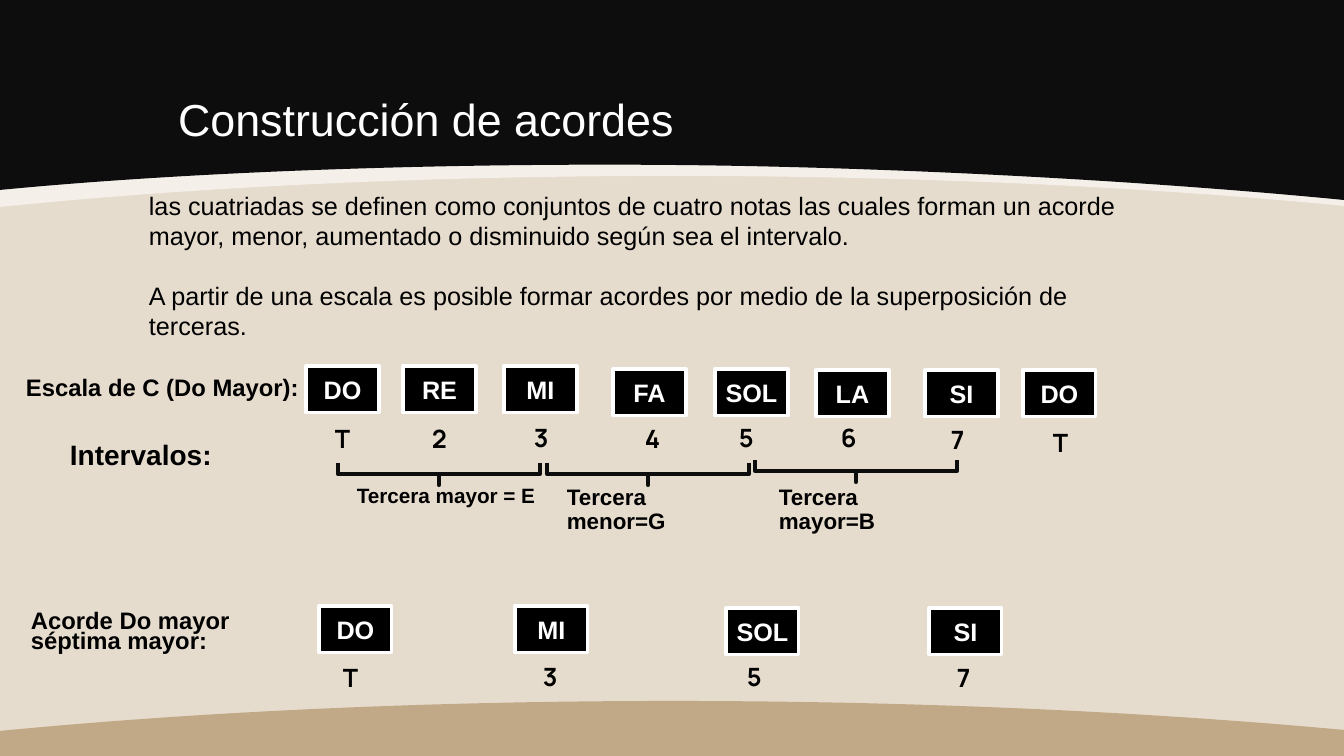
from typing import NamedTuple

from lxml import etree
from pptx import Presentation, util as u
from pptx.dml.color import RGBColor
from pptx.enum import shapes, text
from pptx.oxml.ns import qn

PX = 12700 * 72 / 100.8
WIDTH, HEIGHT = 1344, 756
NOTE_SIZE = (73, 47)
DEGREE_SIZE = (47, 40)
BRACE_SIZE = (22, 202)
COLORS = {"sand": "E6DCCE", "cream": "FAF8F5", "ink": "0D0D0D",
          "tan": "C1A886", "black": "000000", "white": "FFFFFF"}


class Band(NamedTuple):
    color: str
    edge: int  # y of the slide edge the band fills from
    curve: list[tuple[int, int]]  # two joined cubic segments, right to left
    opacity: int = 100


class Note(NamedTuple):
    name: str
    x: int
    y: int
    degree: str
    degree_x: int
    degree_y: int


class Label(NamedTuple):
    words: str
    box: tuple[int, int, int, int]
    size: float
    spacing: float


BANDS = [
    Band("cream", 0, [(1344, 206), (1149, 187), (919, 176), (673, 176),
                      (426, 176), (196, 187), (0, 207)], 70),
    Band("ink", 0, [(1344, 200), (1149, 181), (896, 167), (673, 165),
                    (449, 163), (196, 171), (0, 190)]),
    Band("tan", HEIGHT, [(1344, 730), (1149, 712), (919, 701), (673, 701),
                         (426, 701), (196, 712), (0, 731)]),
]
SCALE = [
    Note("DO", 306, 366, "T", 325, 418),
    Note("RE", 403, 366, "2", 422, 418),
    Note("MI", 504, 366, "3", 524, 417),
    Note("FA", 613, 369, "4", 635, 418),
    Note("SOL", 715, 369, "5", 729, 417),
    Note("LA", 816, 370, "6", 831, 417),
    Note("SI", 925, 370, "7", 941, 419),
    Note("DO", 1023, 370, "T", 1043, 422),
]
CHORD = [
    Note("DO", 319, 606, "T", 333, 657),
    Note("MI", 515, 606, "3", 533, 656),
    Note("SOL", 726, 608, "5", 737, 656),
    Note("SI", 929, 608, "7", 947, 657),
]
THIRDS = [(428, 373), (637, 373), (845, 370)]
LABELS = [
    Label("Escala de C (Do Mayor):", (16, 373, 306, 52), 17, 0.8),
    Label("Intervalos:", (60, 436, 258, 52), 20, 0.9),
    Label("Tercera mayor = E", (347, 481, 202, 52), 14.8, 0.9),
    Label("Tercera menor=G", (557, 481, 200, 52), 16, 0.9),
    Label("Tercera mayor=B", (769, 481, 200, 52), 16, 0.9),
    Label("Acorde Do mayor séptima mayor:", (21, 609, 258, 52), 17, 0.7),
]
DEFINITION = [
    "las cuatriadas se definen como conjuntos de cuatro notas las cuales "
    "forman un acorde mayor, menor, aumentado o disminuido según sea el intervalo.",
    "A partir de una escala es posible formar acordes por medio de la "
    "superposición de terceras.",
]


def emu(*pixels: int) -> list[int]:
    return [round(value * PX) for value in pixels]


def rgb(color: str) -> RGBColor:
    return RGBColor.from_string(COLORS[color])


def style(paragraph, size: float, color: str = "black", bold: bool = True,
          font: str = "Arial") -> None:
    for run in paragraph.runs:
        run.font.name, run.font.size, run.font.bold = font, u.Pt(size), bold
        run.font.color.rgb = rgb(color)


def add_text(slide, words: str, box: tuple[int, int, int, int]):
    frame = slide.shapes.add_textbox(*emu(*box)).text_frame
    frame.word_wrap = True
    frame.text = words
    return frame


def bend(shape, segments: int) -> None:
    """Turn the last straight steps into cubic segments, three points each."""
    outline = shape._element.find(".//" + qn("a:path"))
    steps = outline.findall(qn("a:lnTo"))[-3 * segments:]
    for i in range(0, len(steps), 3):
        cubic = etree.Element(qn("a:cubicBezTo"))
        steps[i].addprevious(cubic)
        for step in steps[i:i + 3]:
            cubic.append(step[0])
            outline.remove(step)


def add_band(slide, band: Band) -> None:
    builder = slide.shapes.build_freeform(*emu(0, band.edge))
    builder.add_line_segments([emu(*point) for point in
                               [(WIDTH, band.edge), *band.curve]])
    shape = builder.convert_to_shape()
    bend(shape, 2)
    shape.shadow.inherit = False
    shape.line.fill.background()
    shape.fill.solid()
    shape.fill.fore_color.rgb = rgb(band.color)
    if band.opacity < 100:
        color = shape._element.spPr.find(".//" + qn("a:srgbClr"))
        etree.SubElement(color, qn("a:alpha"), val=str(band.opacity * 1000))


def add_note(slide, note: Note) -> None:
    key = slide.shapes.add_shape(shapes.MSO_SHAPE.RECTANGLE,
                                 *emu(note.x, note.y, *NOTE_SIZE))
    key.shadow.inherit = False
    key.fill.solid()
    key.fill.fore_color.rgb = rgb("black")
    key.line.color.rgb = rgb("white")
    key.line.width = u.Pt(2.25)
    frame = key.text_frame
    frame.word_wrap = False
    frame.vertical_anchor = text.MSO_ANCHOR.MIDDLE
    frame.text = note.name
    frame.paragraphs[0].alignment = text.PP_ALIGN.CENTER
    style(frame.paragraphs[0], 18, "white")
    degree = add_text(slide, note.degree, (note.degree_x, note.degree_y, *DEGREE_SIZE))
    style(degree.paragraphs[0], 18, font="Manrope")


def add_third(slide, x: int, y: int) -> None:
    brace = slide.shapes.add_shape(shapes.MSO_SHAPE.RIGHT_BRACE,
                                   *emu(x, y, *BRACE_SIZE))
    brace.rotation = 90
    brace.adjustments[0], brace.adjustments[1] = 0, 0.5
    brace.shadow.inherit = False
    brace.fill.background()
    brace.line.color.rgb = rgb("ink")
    brace.line.width = u.Pt(3)


def add_label(slide, label: Label) -> None:
    paragraph = add_text(slide, label.words, label.box).paragraphs[0]
    paragraph.line_spacing = label.spacing
    style(paragraph, label.size)


deck = Presentation()
deck.slide_width, deck.slide_height = emu(WIDTH, HEIGHT)
slide = deck.slides.add_slide(deck.slide_layouts[5])

# Background and curved bands
slide.background.fill.solid()
slide.background.fill.fore_color.rgb = rgb("sand")
for band in BANDS:
    add_band(slide, band)

# Title, brought in front of the bands
title = slide.shapes.title
slide.shapes._spTree.append(title._element)
title.left, title.top, title.width, title.height = emu(168, 30, 1008, 121)
title.text_frame.text = "Construcción de acordes"
title.text_frame.vertical_anchor = text.MSO_ANCHOR.BOTTOM
heading = title.text_frame.paragraphs[0]
heading.alignment = text.PP_ALIGN.LEFT
heading.line_spacing = 0.9
style(heading, 32, "white", bold=False)

# Definition of the four-note chords
definition = add_text(slide, "\n".join(DEFINITION), (139, 185, 996, 194))
for paragraph in definition.paragraphs:
    style(paragraph, 18, bold=False)
definition.paragraphs[1].space_before = u.Pt(21.5)

# Scale, thirds and resulting chord
for note in SCALE + CHORD:
    add_note(slide, note)
for x, y in THIRDS:
    add_third(slide, x, y)
for label in LABELS:
    add_label(slide, label)

deck.save("out.pptx")
